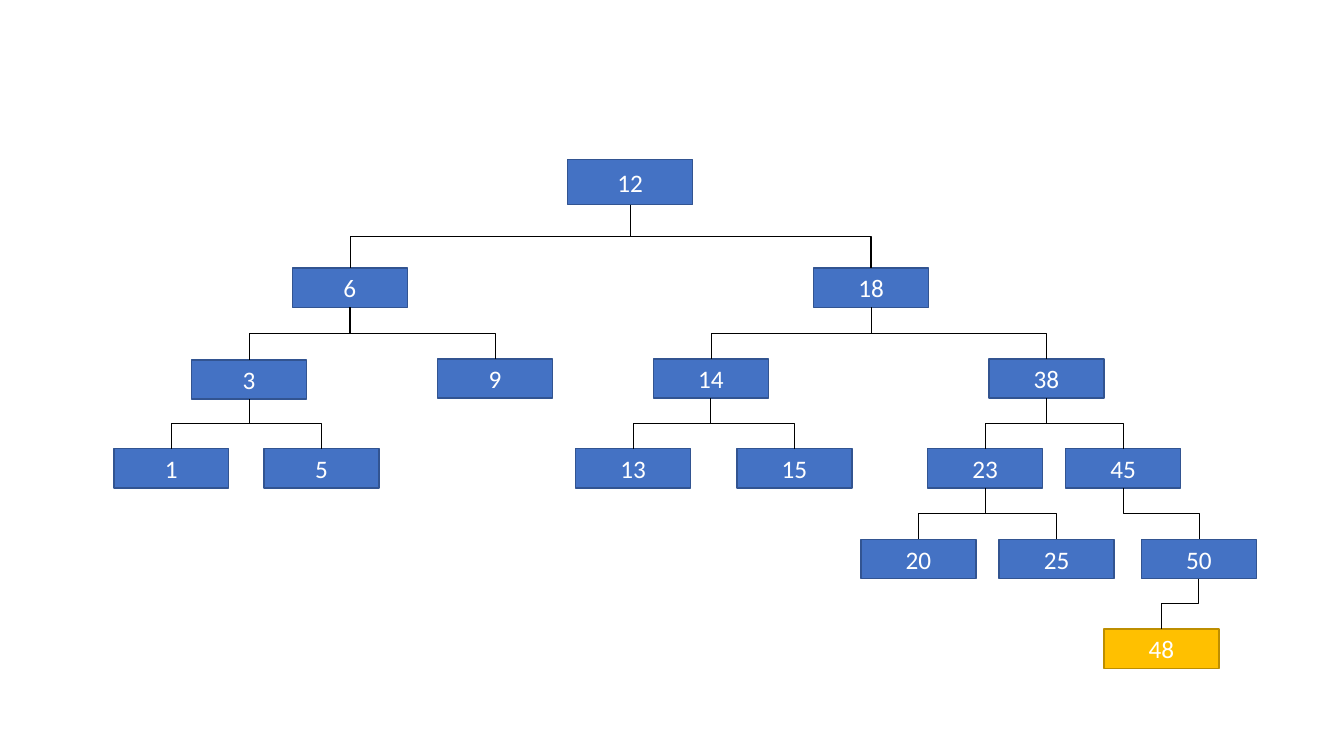
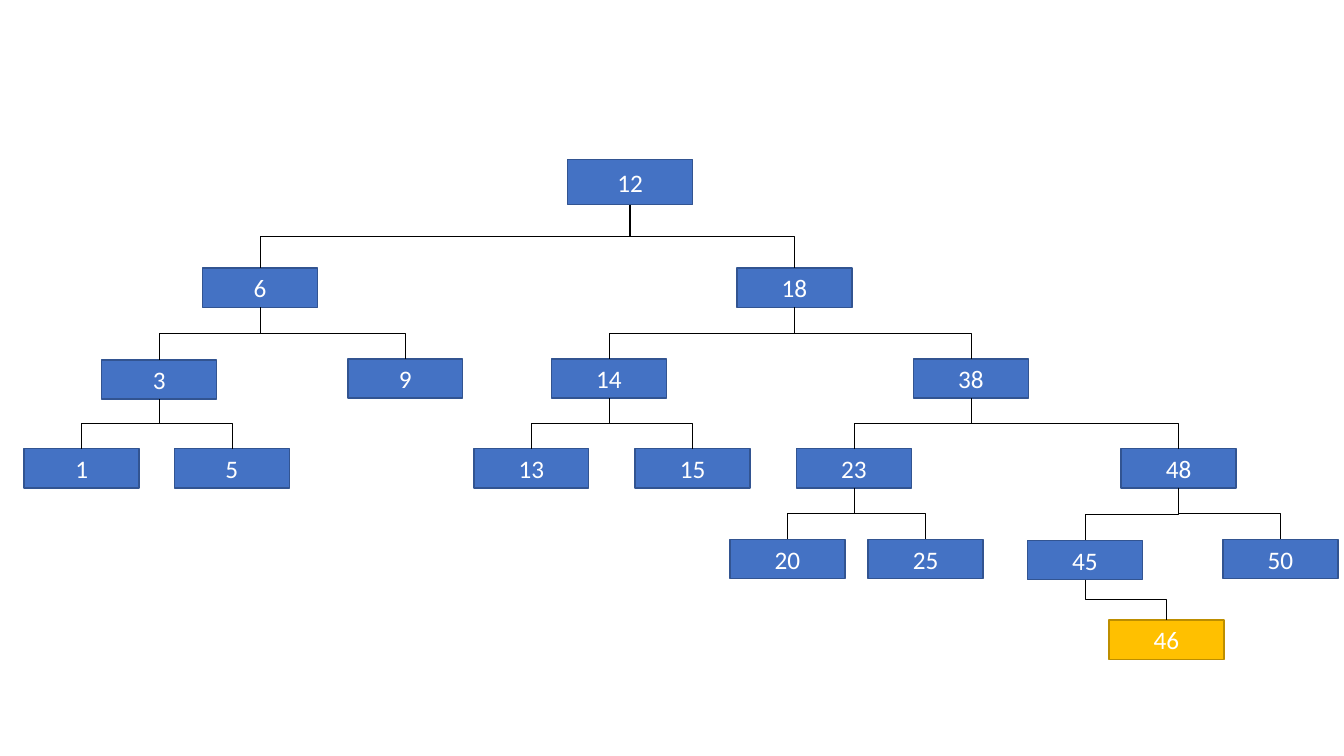
from pptx import Presentation
from pptx import util as u
from pptx.dml.color import RGBColor
from pptx.enum import shapes, text
from pptx.oxml.ns import qn
from lxml import etree

LEVEL_TOPS = [1.58, 2.66, 3.56, 4.45, 5.35, 6.24]
ROOT_SIZE = (1.24, 0.45)
NODE_SIZE = (1.14, 0.39)
BLUE = ("4472C4", "325491")
GOLD = ("FFC000", "BD8E00")

SIX_BRANCH = [
    ("6", "12", 1, 2.9), ("9", "6", 2, 4.34), ("3", "6", 2, 1.9),
    ("1", "3", 3, 1.13), ("5", "3", 3, 2.62),
]
FOURTEEN_BRANCH = [("14", "18", 2, 6.48), ("15", "14", 3, 7.31), ("13", "14", 3, 5.71)]
TWENTY_THREE_BRANCH = [("23", "38", 3, 9.2), ("25", "23", 4, 9.91), ("20", "23", 4, 8.54)]
TOP_NUDGES = {"3": 0.01}


def colour(value):
    return RGBColor.from_string(value)


class TreeDeck:
    def __init__(self):
        self.deck = Presentation()
        self.deck.slide_width = u.Inches(13.33)
        self.deck.slide_height = u.Inches(7.5)

    def start_tree(self):
        self.slide = self.deck.slides.add_slide(self.deck.slide_layouts[6])
        self.nodes = {}
        self.box("12", 5.63, LEVEL_TOPS[0], ROOT_SIZE, BLUE)

    def box(self, key, left, top, size, palette):
        fill, outline = palette
        node = self.slide.shapes.add_shape(
            shapes.MSO_SHAPE.RECTANGLE, u.Inches(left), u.Inches(top), *map(u.Inches, size))
        node.shadow.inherit = False
        node.fill.solid()
        node.fill.fore_color.rgb = colour(fill)
        node.line.color.rgb = colour(outline)
        node.line.width = u.Pt(1)
        frame = node.text_frame
        frame.text = key
        frame.vertical_anchor = text.MSO_ANCHOR.MIDDLE
        label = frame.paragraphs[0]
        label.alignment = text.PP_ALIGN.CENTER
        font = label.runs[0].font
        font.name = "Calibri"
        font.size = u.Pt(18)
        font.color.rgb = colour("FFFFFF")
        self.nodes[key] = node

    def link(self, parent, child, weight):
        start_x = parent.left + parent.width // 2
        start_y = parent.top + parent.height
        end_x = child.left + child.width // 2
        drop, spread = child.top - start_y, abs(end_x - start_x)
        goes_right = end_x > start_x

        branch = self.slide.shapes.add_connector(
            shapes.MSO_CONNECTOR.ELBOW, start_x, start_y, end_x, child.top)
        branch.begin_connect(parent, 2)
        branch.end_connect(child, 0)
        branch.left = (start_x + end_x - drop) // 2
        branch.top = (start_y + child.top - spread) // 2
        branch.width, branch.height = drop, spread
        properties = branch._element.spPr
        properties.xfrm.flipH = goes_right
        properties.xfrm.rot = 270 if goes_right else 90
        branch.line.color.rgb = colour("000000")
        branch.line.width = u.Pt(weight)
        etree.SubElement(properties, qn("a:effectLst"))

    def node(self, key, parent, level, left, nudge=0, palette=BLUE, weight=0.5):
        self.box(key, left, LEVEL_TOPS[level] + nudge, NODE_SIZE, palette)
        self.link(self.nodes[parent], self.nodes[key], weight)

    def subtree(self, members, shift=0):
        for key, parent, level, left in members:
            self.node(key, parent, level, left + shift, TOP_NUDGES.get(key, 0))


tree = TreeDeck()

tree.start_tree()
tree.subtree(SIX_BRANCH)
tree.node("18", "12", 1, 8.07, weight=1)
tree.subtree(FOURTEEN_BRANCH)
tree.node("38", "18", 2, 9.81)
tree.subtree(TWENTY_THREE_BRANCH)
tree.subtree([("45", "38", 3, 10.57), ("50", "45", 4, 11.32)])
tree.node("48", "50", 5, 10.95, palette=GOLD)

tree.start_tree()
tree.subtree(SIX_BRANCH, -0.89)
tree.node("18", "12", 1, 7.31, weight=1)
tree.subtree(FOURTEEN_BRANCH, -1.01)
tree.node("38", "18", 2, 9.06)
tree.subtree(TWENTY_THREE_BRANCH, -1.3)
tree.subtree([("48", "38", 3, 11.12), ("50", "48", 4, 12.13)])
tree.node("45", "48", 4, 10.19, nudge=0.01)
tree.node("46", "45", 5, 11, nudge=-0.09, palette=GOLD)

tree.deck.save("out.pptx")
